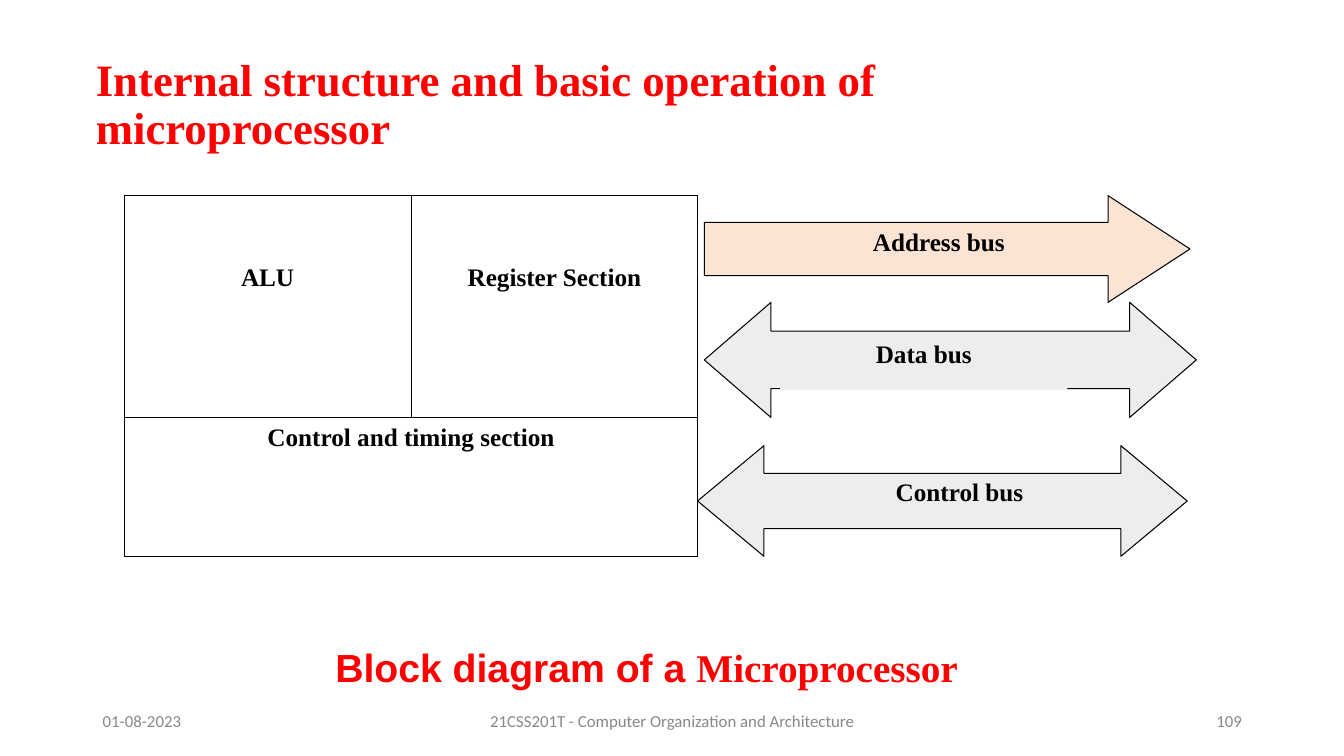
from pptx import Presentation
from pptx.dml.color import RGBColor
from pptx.enum import shapes as sh, text as tx
from pptx.util import Cm, Pt

RED = RGBColor(0xFF, 0x00, 0x00)
BLACK = RGBColor(0x00, 0x00, 0x00)
WHITE = RGBColor(0xFF, 0xFF, 0xFF)
GREY = RGBColor(0x88, 0x88, 0x88)
PEACH = RGBColor(0xFB, 0xE4, 0xD4)
PALE = RGBColor(0xED, 0xED, 0xED)
SERIF = "Times New Roman"
LEFT, MID, RIGHT = tx.PP_ALIGN.LEFT, tx.PP_ALIGN.CENTER, tx.PP_ALIGN.RIGHT
KIND = sh.MSO_SHAPE


def style(run, size, color, name=SERIF, bold=True):
    font = run.font
    font.size, font.name, font.bold = Pt(size), name, bold
    font.color.rgb = color


def write(shape, words, size, color, name=SERIF, bold=True, align=MID,
          anchor=tx.MSO_ANCHOR.TOP, top=0.13):
    frame = shape.text_frame
    frame.word_wrap = True
    frame.vertical_anchor = anchor
    frame.margin_top = Cm(top)
    frame.text = words
    para = frame.paragraphs[0]
    para.alignment = align
    style(para.runs[0], size, color, name, bold)
    return para


def draw(slide, kind, box, fill, edge=True):
    shape = slide.shapes.add_shape(kind, *map(Cm, box))
    shape.shadow.inherit = False
    shape.fill.solid()
    shape.fill.fore_color.rgb = fill
    if edge:
        shape.line.color.rgb = BLACK
        shape.line.width = Pt(0.75)
    else:
        shape.line.fill.background()
    return shape


def add_text(slide, box):
    return slide.shapes.add_textbox(*map(Cm, box))


def add_title(slide, box):
    title = slide.shapes.title
    title.left, title.top, title.width, title.height = map(Cm, box)
    para = write(title, "Internal structure and basic operation of microprocessor",
                 32, RED, align=LEFT, anchor=tx.MSO_ANCHOR.MIDDLE, top=1.35)
    para.line_spacing = 0.9
    title.text_frame.auto_size = tx.MSO_AUTO_SIZE.NONE


def add_chip(slide, box):
    """Two units side by side above the control section."""
    x, y, w, h = box
    half, high = w / 2, h * 0.615
    parts = [
        ("ALU", (x, y, half, high), 1.65),
        ("Register Section", (x + half, y, half, high), 1.65),
        ("Control and timing section", (x, y + high, w, h - high), 0.1),
    ]
    for words, part, top in parts:
        write(draw(slide, KIND.RECTANGLE, part, WHITE), words, 18, BLACK, top=top)


def add_bus(slide, box, kind, head, fill, words, wide, drop, patch=False):
    """An arrow with its label; a patch label hides part of the arrow's edge."""
    arrow = draw(slide, kind, box, fill)
    arrow.adjustments[0], arrow.adjustments[1] = 0.5, head
    area = (19.66, box[1] + drop, wide, 1.4)
    if patch:
        label = draw(slide, KIND.RECTANGLE, area, fill, edge=False)
    else:
        label = add_text(slide, area)
    write(label, words, 18, BLACK, top=0.1)


def add_note(slide, box):
    para = write(add_text(slide, box), "Block diagram of a ", 28, RED, "Arial", align=LEFT)
    run = para.add_run()
    run.text = "Microprocessor"
    style(run, 28, RED)


def add_foot(slide, box):
    x, y, w, h = box
    side, mid = 7.62, 11.43
    parts = [
        ("01-08-2023", x, side, LEFT),
        ("21CSS201T - Computer Organization and Architecture", x + (w - mid) / 2, mid, MID),
        ("109", x + w - side, side, RIGHT),
    ]
    for words, left, wide, align in parts:
        write(add_text(slide, (left, y, wide, h)), words, 12, GREY, "Calibri",
              False, align, tx.MSO_ANCHOR.MIDDLE)


def main():
    deck = Presentation()
    deck.slide_width, deck.slide_height = Cm(33.87), Cm(19.05)
    slide = deck.slides.add_slide(deck.slide_layouts[5])

    # Title
    add_title(slide, (2.16, 0.74, 25.98, 2.64))

    # Processor blocks
    add_chip(slide, (3.13, 4.93, 14.46, 9.1))

    # Buses
    both = KIND.LEFT_RIGHT_ARROW
    add_bus(slide, (17.75, 4.93, 12.24, 2.69), KIND.RIGHT_ARROW, 0.768, PEACH,
            "Address bus", 8, 0.68)
    add_bus(slide, (17.75, 7.62, 12.4, 2.9), both, 0.579, PALE,
            "Data bus", 7.24, 0.81, patch=True)
    add_bus(slide, (17.58, 11.23, 12.34, 2.79), both, 0.6, PALE,
            "Control bus", 9.04, 0.68)

    # Caption and footer
    add_note(slide, (8.2, 16.08, 18.85, 1.45))
    add_foot(slide, (2.34, 17.65, 29.21, 1.02))

    deck.save("out.pptx")


if __name__ == "__main__":
    main()
